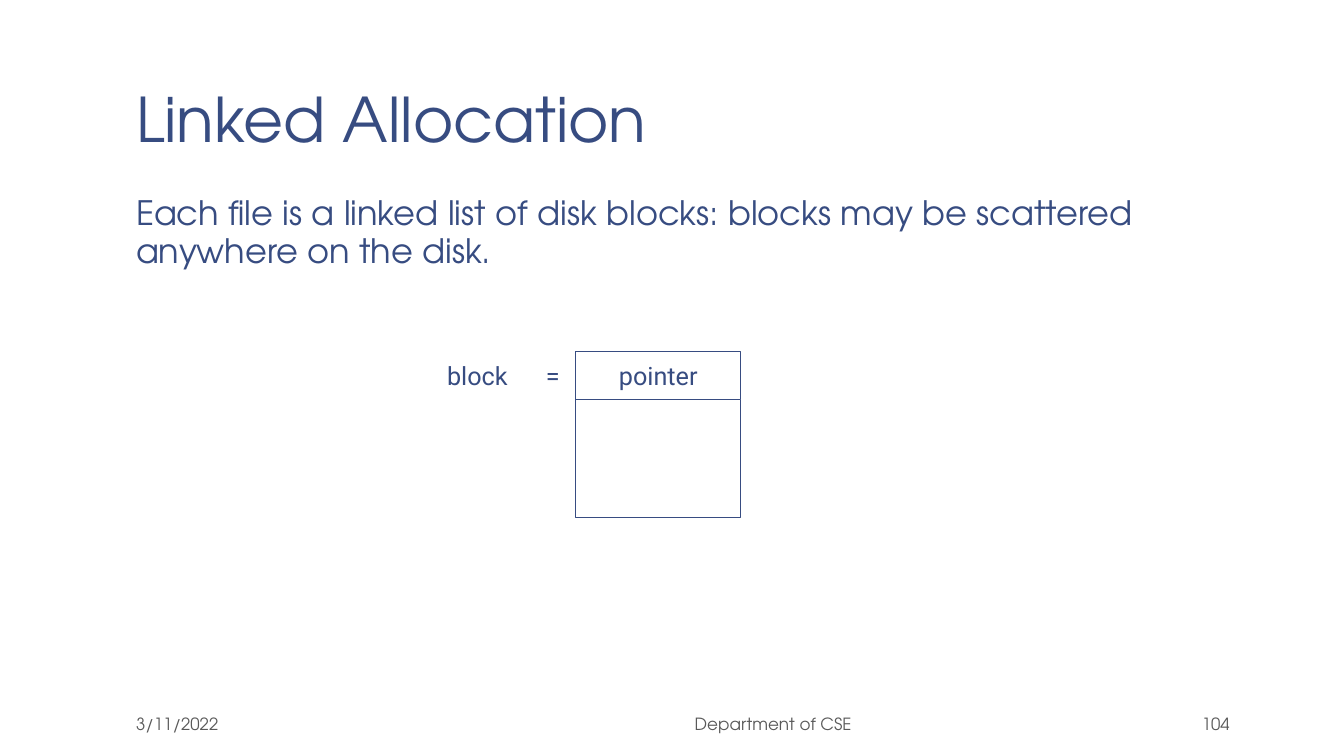
"""Build the Linked Allocation slide."""
from lxml import etree
from pptx import Presentation, util as u
from pptx.dml.color import RGBColor
from pptx.enum import shapes, text
from pptx.oxml import ns

W, H = u.Inches(13.33), u.Inches(7.5)
NAVY, GREY, WHITE = "374C81", "595959", "FFFFFF"
HEADING, LABEL = "TeX Gyre Adventor", "Roboto"
LEFT, CENTER, RIGHT = text.PP_ALIGN.LEFT, text.PP_ALIGN.CENTER, text.PP_ALIGN.RIGHT
TOP, MIDDLE, BOTTOM = text.MSO_ANCHOR.TOP, text.MSO_ANCHOR.MIDDLE, text.MSO_ANCHOR.BOTTOM
WIDE, NARROW = (0.13, 0.07), (0.1, 0.05)


def color(hex_string):
    """Return the colour for a hex string."""
    return RGBColor.from_string(hex_string)


def place(x, y, w, h):
    """Turn percentages of the slide into left, top, width and height."""
    return [int(n * side / 100) for n, side in zip((x, y, w, h), (W, H, W, H))]


def apply(obj, values):
    """Set each named attribute on an object."""
    for name, value in values.items():
        setattr(obj, name, value)


def write(sp, words, size, font=HEADING, hue=NAVY, align=LEFT, anchor=TOP,
          inset=WIDE, spacing=1.0, tab=None):
    """Write one paragraph into a shape."""
    tf = sp.text_frame
    side, end = map(u.Inches, inset)
    apply(tf, dict(word_wrap=True, vertical_anchor=anchor, margin_left=side,
                   margin_right=side, margin_top=end, margin_bottom=end))
    p = tf.paragraphs[0]
    apply(p, dict(alignment=align, line_spacing=spacing))
    if tab:
        stops = etree.SubElement(p._p.get_or_add_pPr(), ns.qn("a:tabLst"))
        etree.SubElement(stops, ns.qn("a:tab"), pos=str(u.Inches(tab)), algn="l")
    r = p.add_run()
    r.text = words
    apply(r.font, dict(name=font, size=u.Pt(size)))
    r.font.color.rgb = color(hue)


def add_text(s, box, words, size, **style):
    """Add a text box."""
    write(s.shapes.add_textbox(*place(*box)), words, size, **style)


def add_cell(s, box):
    """Add one outlined cell of the disk block."""
    sp = s.shapes.add_shape(shapes.MSO_SHAPE.RECTANGLE, *place(*box))
    sp.shadow.inherit = False
    sp.fill.solid()
    sp.fill.fore_color.rgb = color(WHITE)
    sp.line.color.rgb = color(NAVY)
    sp.line.width = u.Pt(0.75)
    return sp


def add_block(s, x, y, w, head, body):
    """Add a disk block with its pointer field and its label."""
    pointer = add_cell(s, (x, y, w, head))
    add_cell(s, (x, y + head, w, body))
    style = dict(font=LABEL, anchor=MIDDLE, inset=NARROW)
    write(pointer, "pointer", 18, align=CENTER, **style)
    add_text(s, (x - 10.3, y, 10.2, head), "block\t=", 18, tab=0.98, **style)


def add_footer(s):
    """Add the date, department and page number."""
    for x, w, words, align in ((9.15, 22.5, "3/11/2022", LEFT),
                               (32.03, 51, "Department of CSE", CENTER),
                               (83.4, 9.08, "104", RIGHT)):
        add_text(s, (x, 93.33, w, 4.67), words, 12, hue=GREY, align=align, anchor=BOTTOM)


def main():
    """Build and save the slide."""
    prs = Presentation()
    apply(prs, dict(slide_width=W, slide_height=H))
    s = prs.slides.add_slide(prs.slide_layouts[6])
    s.background.fill.solid()
    s.background.fill.fore_color.rgb = color(WHITE)
    add_text(s, (9.15, 1.07, 83.33, 20.4), "Linked Allocation", 44,
             anchor=BOTTOM, spacing=0.85)
    add_text(s, (9.15, 24.8, 83.33, 65.2),
             "Each file is a linked list of disk blocks: blocks may be scattered "
             "anywhere on the disk.", 24, spacing=0.95)
    add_block(s, 42.83, 46.53, 12.3, 6.27, 15.6)
    add_footer(s)
    prs.save("out.pptx")


if __name__ == "__main__":
    main()
